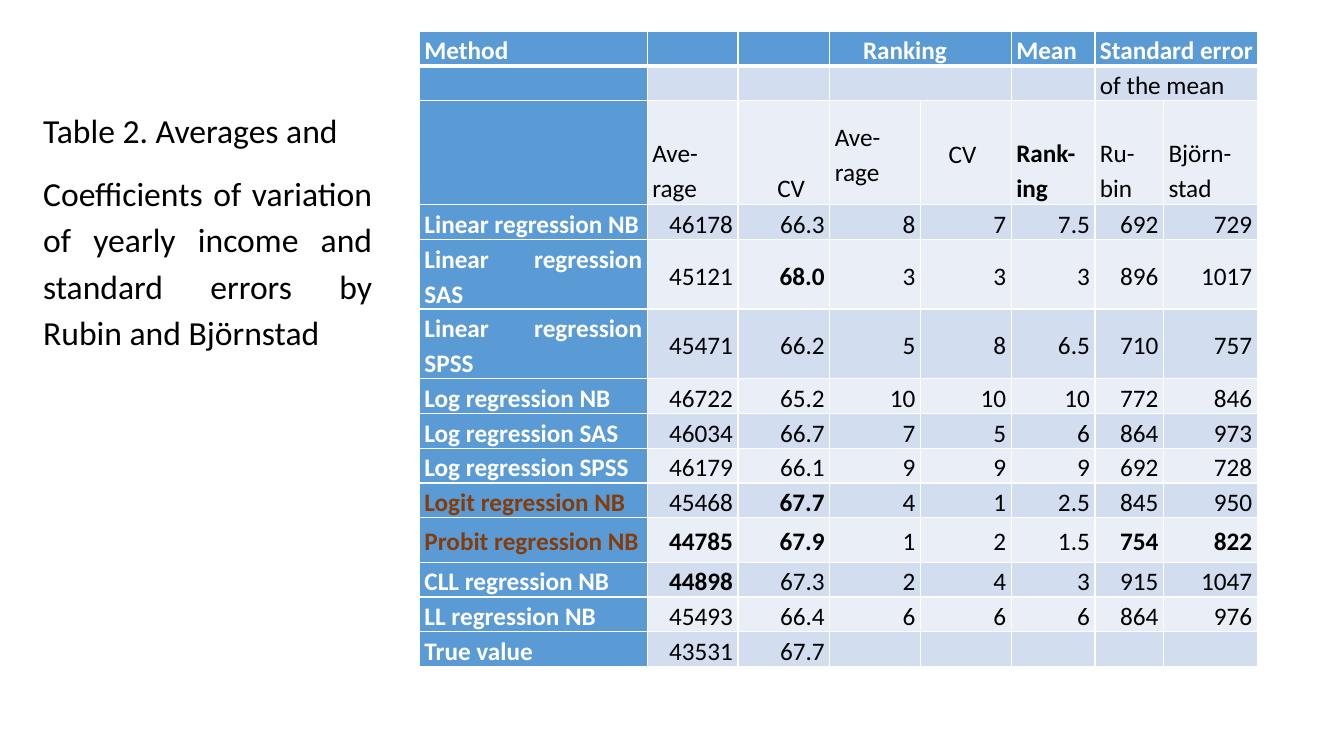
from dataclasses import dataclass

from lxml import etree
from pptx import Presentation, util as u
from pptx.dml.color import RGBColor
from pptx.enum import text
from pptx.oxml.ns import qn

PX = 9144  # EMU in one px, 100 px to the inch


@dataclass(frozen=True)
class Theme:
    font: str = "Calibri"
    caption_size: int = 24
    table_size: int = 18
    ink: str = "000000"
    white: str = "FFFFFF"
    highlight: str = "843C0B"
    header: str = "5B9BD5"
    dark_band: str = "D2DEEF"
    light_band: str = "EAEFF7"


THEME = Theme()
ALIGN = text.PP_ALIGN
ANCHOR = text.MSO_ANCHOR

CAPTION = (
    "Table 2. Averages and",
    "Coefficients of variation of yearly income and standard errors by Rubin and Björnstad",
)

COLUMN_WIDTHS = (226, 90, 91, 90, 90, 83, 68, 93)
HEADER_HEIGHTS = (34, 34, 103)
ROW_HEIGHT = 34
SPECIAL_HEIGHTS = {
    "Linear regression SAS": 69,
    "Linear regression SPSS": 69,
    "Probit regression NB": 44,
}
HIGHLIGHTED = ("Logit regression NB", "Probit regression NB")
CELL_MARGIN = 5
TOP_ROW_RIGHT_MARGIN = 1

# row, column, wording, anchor, left indent
HEADINGS = (
    (0, 0, "Method", ANCHOR.BOTTOM, 0),
    (0, 3, "Ranking", ANCHOR.MIDDLE, 28),
    (0, 5, "Mean", ANCHOR.BOTTOM, 0),
    (0, 6, "Standard error", ANCHOR.MIDDLE, 0),
    (1, 6, "of the mean", ANCHOR.MIDDLE, 0),
    (2, 1, "Ave-rage", ANCHOR.BOTTOM, 0),
    (2, 2, "CV", ANCHOR.BOTTOM, 34),
    (2, 3, "Ave-rage", ANCHOR.MIDDLE, 0),
    (2, 4, "CV", ANCHOR.MIDDLE, 23),
    (2, 5, "*Rank-ing", ANCHOR.BOTTOM, 0),
    (2, 6, "Ru-bin", ANCHOR.BOTTOM, 0),
    (2, 7, "Björn-stad", ANCHOR.BOTTOM, 0),
)
MERGES = ((0, 3), (0, 6), (1, 3), (1, 6))

# a leading * marks a bold value
RESULTS = (
    ("Linear regression NB", "46178 66.3 8 7 7.5 692 729"),
    ("Linear regression SAS", "45121 *68.0 3 3 3 896 1017"),
    ("Linear regression SPSS", "45471 66.2 5 8 6.5 710 757"),
    ("Log regression NB", "46722 65.2 10 10 10 772 846"),
    ("Log regression SAS", "46034 66.7 7 5 6 864 973"),
    ("Log regression SPSS", "46179 66.1 9 9 9 692 728"),
    ("Logit regression NB", "45468 *67.7 4 1 2.5 845 950"),
    ("Probit regression NB", "*44785 *67.9 1 2 1.5 *754 *822"),
    ("CLL regression NB", "*44898 67.3 2 4 3 915 1047"),
    ("LL regression NB", "45493 66.4 6 6 6 864 976"),
    ("True value", "43531 67.7"),
)


def format_para(para, size, color, bold=False, align=ALIGN.JUSTIFY):
    para.alignment = align
    para.line_spacing = 1.15
    para.space_before = u.Pt(12)
    para.font.name = THEME.font
    para.font.size = u.Pt(size)
    para.font.bold = bold
    para.font.color.rgb = RGBColor.from_string(color)


def add_caption(page, left, top, width, height):
    box = page.shapes.add_textbox(left * PX, top * PX, width * PX, height * PX)
    frame = box.text_frame
    frame.word_wrap = True
    frame.auto_size = text.MSO_AUTO_SIZE.SHAPE_TO_FIT_TEXT
    for index, wording in enumerate(CAPTION):
        para = frame.add_paragraph() if index else frame.paragraphs[0]
        para.text = wording
        format_para(para, THEME.caption_size, THEME.ink)


def set_borders(cell, row):
    """White rules, with a thicker one below the top row."""
    widths = {"lnL": 1, "lnR": 1, "lnT": 3 if row == 1 else 1, "lnB": 3 if row == 0 else 1}
    properties = cell._tc.get_or_add_tcPr()
    for side, width in widths.items():
        line = etree.SubElement(properties, qn(f"a:{side}"), w=str(u.Pt(width)))
        fill = etree.SubElement(line, qn("a:solidFill"))
        etree.SubElement(fill, qn("a:srgbClr"), val=THEME.white)


def style_cell(cell, row, column):
    set_borders(cell, row)
    if row == 0 or column == 0:
        color = THEME.header
    else:
        color = THEME.dark_band if row % 2 else THEME.light_band
    cell.fill.solid()
    cell.fill.fore_color.rgb = RGBColor.from_string(color)
    cell.margin_left = CELL_MARGIN * PX
    cell.margin_right = (CELL_MARGIN if row else TOP_ROW_RIGHT_MARGIN) * PX
    cell.margin_top = cell.margin_bottom = 0
    format_para(cell.text_frame.paragraphs[0], THEME.table_size, THEME.ink)


def write_cell(cell, wording, color=THEME.ink, bold=False, align=ALIGN.JUSTIFY,
               anchor=ANCHOR.MIDDLE):
    para = cell.text_frame.paragraphs[0]
    para.text = wording.lstrip("*")
    format_para(para, THEME.table_size, color, bold or wording.startswith("*"), align)
    cell.vertical_anchor = anchor


def add_results_table(page, left, top):
    heights = HEADER_HEIGHTS + tuple(
        SPECIAL_HEIGHTS.get(method, ROW_HEIGHT) for method, _ in RESULTS)
    frame = page.shapes.add_table(
        len(heights), len(COLUMN_WIDTHS), left * PX, top * PX,
        sum(COLUMN_WIDTHS) * PX, sum(heights) * PX)
    table = frame.table
    table.first_row = table.horz_banding = False
    style = table._tbl.tblPr.find(qn("a:tableStyleId"))
    table._tbl.tblPr.remove(style)

    for column, width in zip(table.columns, COLUMN_WIDTHS):
        column.width = width * PX
    for row, height in enumerate(heights):
        table.rows[row].height = height * PX
        for column in range(len(COLUMN_WIDTHS)):
            style_cell(table.cell(row, column), row, column)
    for row, column in MERGES:
        table.cell(row, column).merge(table.cell(row, column + 1))

    for row, column, wording, anchor, indent in HEADINGS:
        cell = table.cell(row, column)
        write_cell(cell, wording, THEME.ink if row else THEME.white, row == 0, anchor=anchor)
        cell.margin_left = (CELL_MARGIN + indent) * PX
    for row, (method, values) in enumerate(RESULTS, len(HEADER_HEIGHTS)):
        color = THEME.highlight if method in HIGHLIGHTED else THEME.white
        write_cell(table.cell(row, 0), method, color, bold=True)
        for column, value in enumerate(values.split(), 1):
            write_cell(table.cell(row, column), value, align=ALIGN.RIGHT)


def main():
    deck = Presentation()
    deck.slide_width, deck.slide_height = 1333 * PX, 750 * PX
    page = deck.slides.add_slide(deck.slide_layouts[6])
    add_caption(page, 33, 98, 346, 259)
    add_results_table(page, 416, 31)
    deck.save("out.pptx")


if __name__ == "__main__":
    main()
